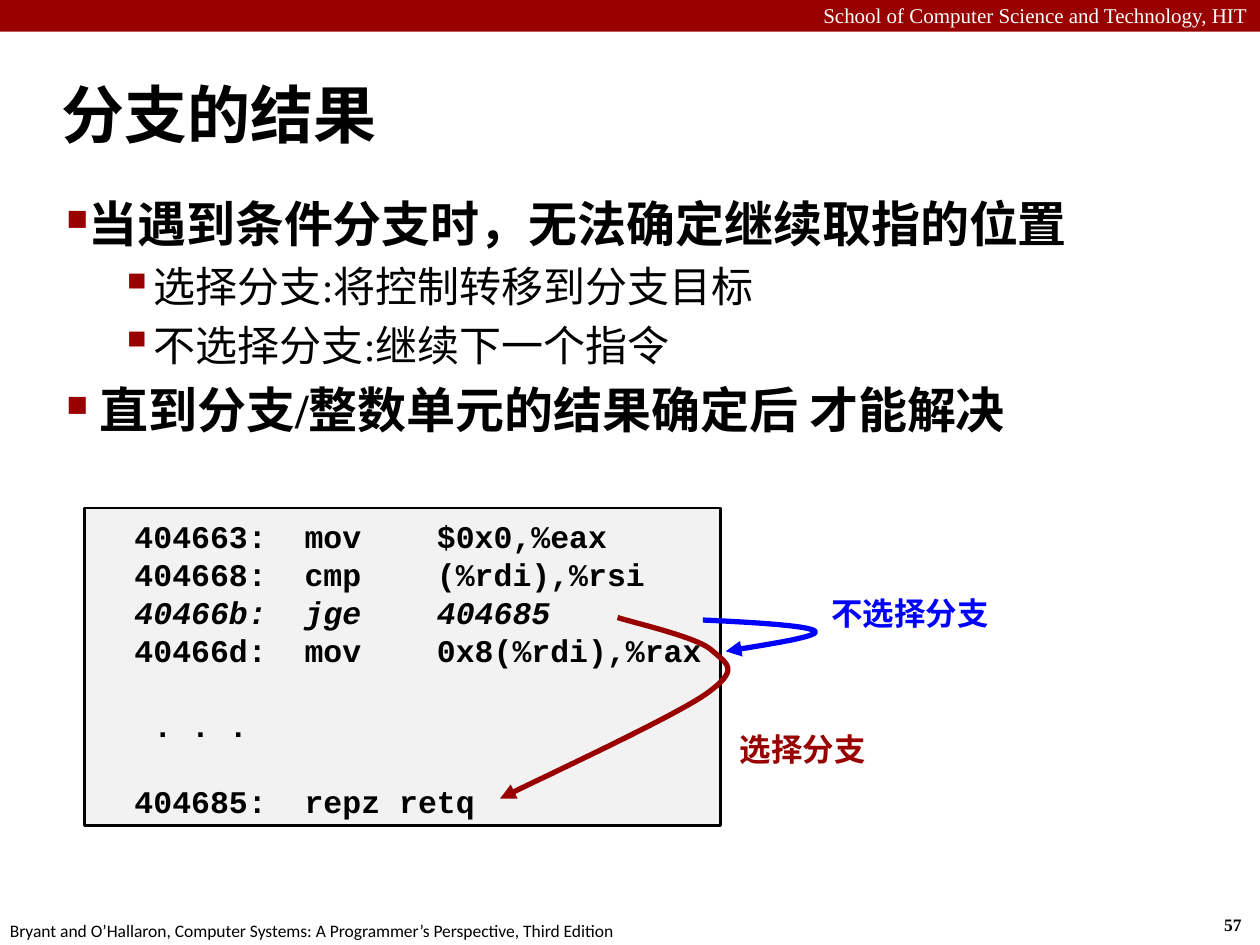
from lxml import etree
from pptx import Presentation
from pptx.dml.color import RGBColor
from pptx.enum.shapes import MSO_SHAPE
from pptx.enum.text import MSO_ANCHOR, PP_ALIGN
from pptx.oxml import parse_xml
from pptx.oxml.ns import nsdecls, qn
from pptx.util import Cm, Pt

RED = RGBColor(0x99, 0x00, 0x00)
BLUE = RGBColor(0x00, 0x00, 0xFF)
BLACK = RGBColor(0x00, 0x00, 0x00)
WHITE = RGBColor(0xFF, 0xFF, 0xFF)
GRAY = RGBColor(0xF2, 0xF2, 0xF2)


def add_run(p, text, size, font, color=BLACK, bold=False, italic=False):
    r = p.add_run()
    r.text = text
    r.font.size = Pt(size)
    r.font.name = font
    r.font.color.rgb = color
    r.font.bold = bold
    r.font.italic = italic


def add_curve(s, start, beziers, color, arrow_end, steps=24):
    """Draw joined cubic Bezier curves, in cm, with one arrowhead."""
    points = []
    p0 = start
    for p1, p2, p3 in beziers:
        for i in range(1, steps + 1):
            t = i / steps
            u = 1 - t
            points.append([Cm(u**3 * a + 3 * u * u * t * b + 3 * u * t * t * c + t**3 * d)
                           for a, b, c, d in zip(p0, p1, p2, p3)])
        p0 = p3
    fb = s.shapes.build_freeform(Cm(start[0]), Cm(start[1]))
    fb.add_line_segments(points, close=False)
    sp = fb.convert_to_shape()
    sp.shadow.inherit = False
    sp.fill.background()
    sp.line.color.rgb = color
    sp.line.width = Pt(3)
    ln = sp.line._get_or_add_ln()
    etree.SubElement(ln, qn("a:round"))
    etree.SubElement(ln, qn(arrow_end), type="triangle")


prs = Presentation()
prs.slide_width, prs.slide_height = Cm(25.4), Cm(19.05)
s = prs.slides.add_slide(prs.slide_layouts[5])

# Top bar
bar = s.shapes.add_shape(MSO_SHAPE.RECTANGLE, 0, 0, prs.slide_width, Cm(0.64))
bar.shadow.inherit = False
bar.fill.solid()
bar.fill.fore_color.rgb = RED
bar.line.fill.background()

# Code listing
code = s.shapes.add_shape(MSO_SHAPE.RECTANGLE, Cm(1.7), Cm(10.24), Cm(12.83), Cm(6.4))
code.shadow.inherit = False
code.fill.solid()
code.fill.fore_color.rgb = GRAY
code.line.color.rgb = BLACK
code.line.width = Pt(1.5)
tf = code.text_frame
tf.word_wrap = False
tf.vertical_anchor = MSO_ANCHOR.TOP
tf.margin_top = Cm(0.19)
CODE_PITCH = 21.6
code_lines = [
    # text, italic, empty lines above
    ("  404663:  mov    $0x0,%eax", False, 0),
    ("  404668:  cmp    (%rdi),%rsi", False, 0),
    ("  40466b:  jge    404685", True, 0),
    ("  40466d:  mov    0x8(%rdi),%rax", False, 0),
    ("   . . .", False, 1),
    ("  404685:  repz retq", False, 1),
]
for i, (text, italic, gap) in enumerate(code_lines):
    p = tf.add_paragraph() if i else tf.paragraphs[0]
    p.alignment = PP_ALIGN.LEFT
    p.line_spacing = Pt(CODE_PITCH)
    p.space_before = Pt(gap * CODE_PITCH)
    add_run(p, text, 18, "Courier New", bold=True, italic=italic)

# Header, footer and branch labels
labels = [
    ("School of Computer Science and Technology, HIT",
     (0, -0.08, 25.4, 0.76), 12, "Times New Roman", WHITE, False, PP_ALIGN.RIGHT),
    ("57", (24.43, 18.31, 0.94, 0.69), 10, "Times New Roman", BLACK, True, PP_ALIGN.LEFT),
    ("Bryant and O’Hallaron, Computer Systems: A Programmer’s Perspective, Third Edition",
     (-0.05, 18.42, 12.9, 0.69), 10, "Calibri", BLACK, False, PP_ALIGN.LEFT),
    ("不选择分支", (16.51, 11.86, 3.71, 1.02), 18, "Calibri", BLUE, True, PP_ALIGN.LEFT),
    ("选择分支", (14.66, 14.6, 3.07, 1.02), 18, "Calibri", RED, True, PP_ALIGN.LEFT),
]
for text, place, size, font, color, bold, align in labels:
    tb = s.shapes.add_textbox(*map(Cm, place))
    tb.text_frame.word_wrap = align == PP_ALIGN.RIGHT
    p = tb.text_frame.paragraphs[0]
    p.alignment = align
    add_run(p, text, size, font, color, bold)

# Title
title = s.shapes.title
title.left, title.top, title.width, title.height = Cm(0.99), Cm(1.22), Cm(24.41), Cm(2.11)
title.text_frame.vertical_anchor = MSO_ANCHOR.MIDDLE
p = title.text_frame.paragraphs[0]
p.alignment = PP_ALIGN.LEFT
add_run(p, "分支的结果", 36, "Calibri", bold=True)

# Bulleted text
tb = s.shapes.add_textbox(Cm(1.09), Cm(3.78), Cm(23.88), Cm(5.6))
tf = tb.text_frame
tf.word_wrap = True
# level: size, bold, bullet, bullet percent, text margin, hanging indent
levels = [(28, True, "■", 60, 0.38, 0.38), (24, False, "▪", 110, 1.4, 0.33)]
bullets = [
    ("当遇到条件分支时，无法确定继续取指的位置", 0),
    ("选择分支:将控制转移到分支目标", 1),
    ("不选择分支:继续下一个指令", 1),
    (" 直到分支/整数单元的结果确定后 才能解决", 0),
]
for i, (text, level) in enumerate(bullets):
    size, bold, char, percent, margin, hang = levels[level]
    p = tf.add_paragraph() if i else tf.paragraphs[0]
    p.level = level
    pPr = p._p.get_or_add_pPr()
    pPr.set("marL", str(Cm(margin)))
    pPr.set("indent", str(-Cm(hang)))
    for xml in (f'<a:buClr {nsdecls("a")}><a:srgbClr val="{RED}"/></a:buClr>',
                f'<a:buSzPct {nsdecls("a")} val="{percent * 1000}"/>',
                f'<a:buChar {nsdecls("a")} char="{char}"/>'):
        pPr.append(parse_xml(xml))
    p.space_before = Pt(0.2 * size if i else 0)
    add_run(p, text, size, "Times New Roman", bold=bold)

# Arrow to the next instruction
add_curve(s, (14.17, 12.5),
          [((15.27, 12.55), (16.36, 12.62), (16.43, 12.73)),
           ((16.51, 12.83), (15.57, 12.98), (14.63, 13.13))],
          BLUE, "a:tailEnd")

# Arrow to the branch target
add_curve(s, (10.08, 16.1),
          [((10.77, 15.75), (13.49, 14.5), (14.22, 14)),
           ((14.94, 13.49), (14.66, 13.39), (14.35, 13.11)),
           ((14.07, 12.85), (12.83, 12.57), (12.45, 12.45))],
          RED, "a:headEnd")

prs.save("out.pptx")
